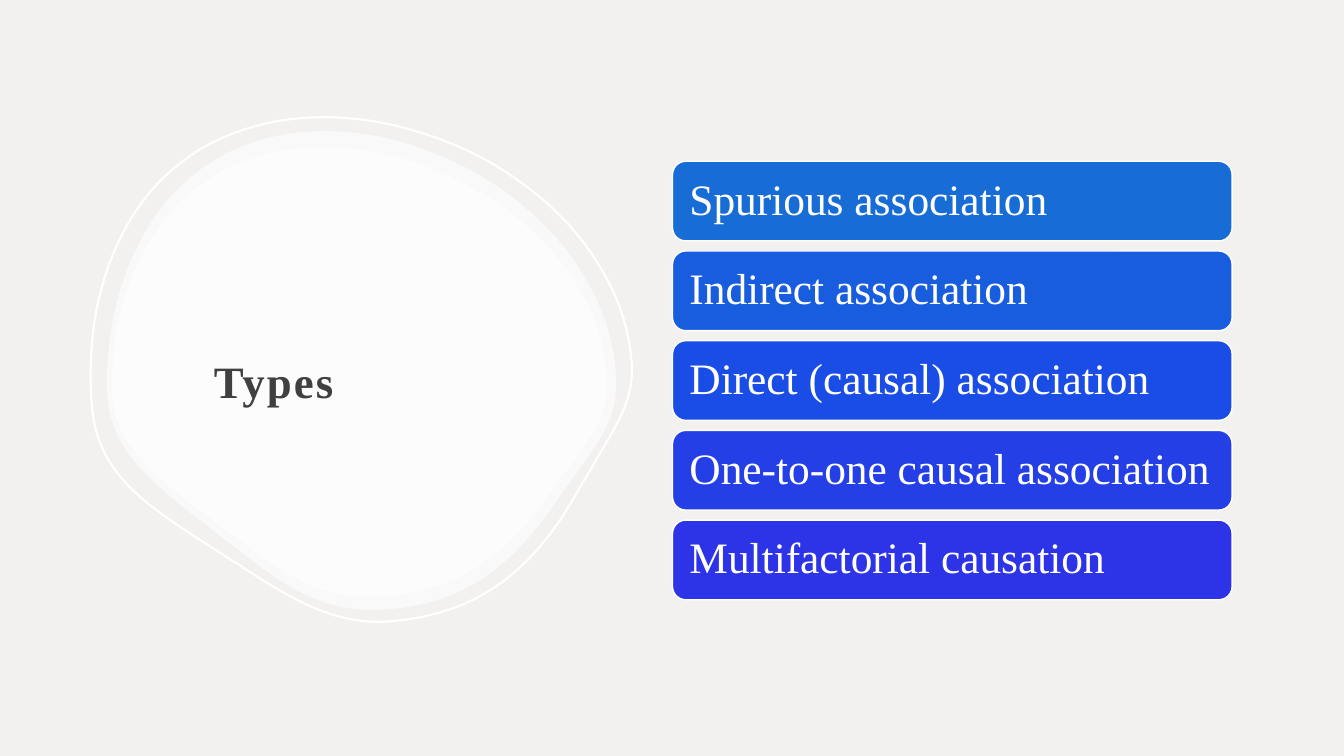
from lxml import etree
from pptx import Presentation
from pptx import util as u
from pptx.dml.color import RGBColor
from pptx.enum import shapes, text
from pptx.oxml import ns

BACKGROUND = RGBColor(0xF3, 0xF1, 0xF0)
WHITE = RGBColor(0xFF, 0xFF, 0xFF)
TITLE_GREY = RGBColor(0x40, 0x40, 0x40)
FONT = "Times New Roman"

TYPES = [
    ("Spurious association", RGBColor(0x17, 0x6D, 0xD5)),
    ("Indirect association", RGBColor(0x18, 0x5D, 0xDE)),
    ("Direct (causal) association", RGBColor(0x1A, 0x4C, 0xE6)),
    ("One-to-one causal association", RGBColor(0x24, 0x3F, 0xE6)),
    ("Multifactorial causation", RGBColor(0x2D, 0x34, 0xE7)),
]

PEBBLE_SIZE = (5.05, 4.75)
PEBBLE_START = (2.16, 0)
PEBBLE_CURVES = [
    ((1.83, 0), (1.52, 0.07), (1.25, 0.19)),
    ((1, 0.31), (0.77, 0.48), (0.59, 0.7)),
    ((0.21, 1.16), (0, 1.8), (0, 2.52)),
    ((0, 2.8), (0.08, 3.03), (0.26, 3.26)),
    ((0.45, 3.5), (0.74, 3.72), (1.04, 3.95)),
    ((1.09, 3.99), (1.15, 4.04), (1.21, 4.08)),
    ((1.72, 4.49), (2.1, 4.75), (2.61, 4.75)),
    ((3.39, 4.75), (3.95, 4.43), (4.46, 3.67)),
    ((4.53, 3.57), (4.6, 3.48), (4.66, 3.39)),
    ((4.92, 3.03), (5.05, 2.84), (5.05, 2.52)),
    ((5.05, 2.2), (4.97, 1.88), (4.81, 1.58)),
    ((4.66, 1.28), (4.44, 1.01), (4.16, 0.77)),
    ((3.89, 0.53), (3.56, 0.34), (3.22, 0.21)),
    ((2.87, 0.07), (2.51, 0), PEBBLE_START),
]


def add_pebble(page, left, top, width, height):
    def scaled(point):
        return (u.Inches(point[0] * width / PEBBLE_SIZE[0]),
                u.Inches(point[1] * height / PEBBLE_SIZE[1]))

    builder = page.shapes.build_freeform(*scaled(PEBBLE_START))
    builder.add_line_segments([scaled(curve[-1]) for curve in PEBBLE_CURVES], close=True)
    pebble = builder.convert_to_shape(u.Inches(left), u.Inches(top))
    segments = list(pebble.element.spPr.iter(ns.qn("a:lnTo")))
    for segment, curve in zip(segments, PEBBLE_CURVES):
        bend = etree.Element(ns.qn("a:cubicBezTo"))
        for x, y in map(scaled, curve):
            etree.SubElement(bend, ns.qn("a:pt"), x=str(int(x)), y=str(int(y)))
        segment.getparent().replace(segment, bend)
    pebble.shadow.inherit = False
    return pebble


def add_veil(page, left, top, width, height):
    veil = add_pebble(page, left, top, width, height)
    veil.fill.solid()
    veil.fill.fore_color.rgb = WHITE
    veil.line.fill.background()
    color = veil.element.spPr.find(".//" + ns.qn("a:srgbClr"))
    etree.SubElement(color, ns.qn("a:alpha"), val="60000")


def add_outline(page, left, top, width, height):
    outline = add_pebble(page, left, top, width, height)
    outline.fill.background()
    outline.line.color.rgb = WHITE
    outline.line.width = u.Pt(1.5)
    outline.rotation = 355


def write_text(shape, words, size, color, spacing, inset):
    frame = shape.text_frame
    frame.word_wrap = True
    frame.vertical_anchor = text.MSO_ANCHOR.MIDDLE
    frame.margin_left = frame.margin_right = u.Inches(inset)
    frame.text = words
    para = frame.paragraphs[0]
    para.alignment = text.PP_ALIGN.LEFT
    para.line_spacing = spacing
    span = para.runs[0]
    span.font.name = FONT
    span.font.size = u.Pt(size)
    span.font.color.rgb = color
    return span


def add_title_region(page, left, top, width, height):
    add_veil(page, left + 0.17, top + 0.17, 5.05, 4.75)
    add_veil(page, left + 0.22, top + 0.33, 4.91, 4.46)
    add_outline(page, left, top, width, height)
    box = page.shapes.add_textbox(
        u.Inches(left + 1.11), u.Inches(top + 0.95), u.Inches(3.62), u.Inches(3.21)
    )
    span = write_text(box, "Types", 32, TITLE_GREY, 1.3, 0.12)
    box.text_frame.margin_top = u.Inches(0.12)
    box.text_frame.margin_bottom = u.Inches(0.1)
    span.font.bold = True
    span.font._element.set("spc", "150")


def add_type_list(page, left, top, width, height):
    gap = 0.1
    bar_height = (height - gap * (len(TYPES) - 1)) / len(TYPES)
    for index, (words, color) in enumerate(TYPES):
        bar = page.shapes.add_shape(
            shapes.MSO_SHAPE.ROUNDED_RECTANGLE,
            u.Inches(left), u.Inches(top + index * (bar_height + gap)),
            u.Inches(width), u.Inches(bar_height),
        )
        bar.shadow.inherit = False
        bar.fill.solid()
        bar.fill.fore_color.rgb = color
        bar.line.color.rgb = WHITE
        bar.line.width = u.Pt(1)
        write_text(bar, words, 31, WHITE, 0.9, 0.13)


def main():
    deck = Presentation()
    deck.slide_width = u.Inches(13.33)
    deck.slide_height = u.Inches(7.5)
    page = deck.slides.add_slide(deck.slide_layouts[6])
    page.background.fill.solid()
    page.background.fill.fore_color.rgb = BACKGROUND
    add_title_region(page, 0.89, 1.13, 5.37, 5.05)
    add_type_list(page, 6.67, 1.6, 5.55, 4.35)
    deck.save("out.pptx")


if __name__ == "__main__":
    main()
